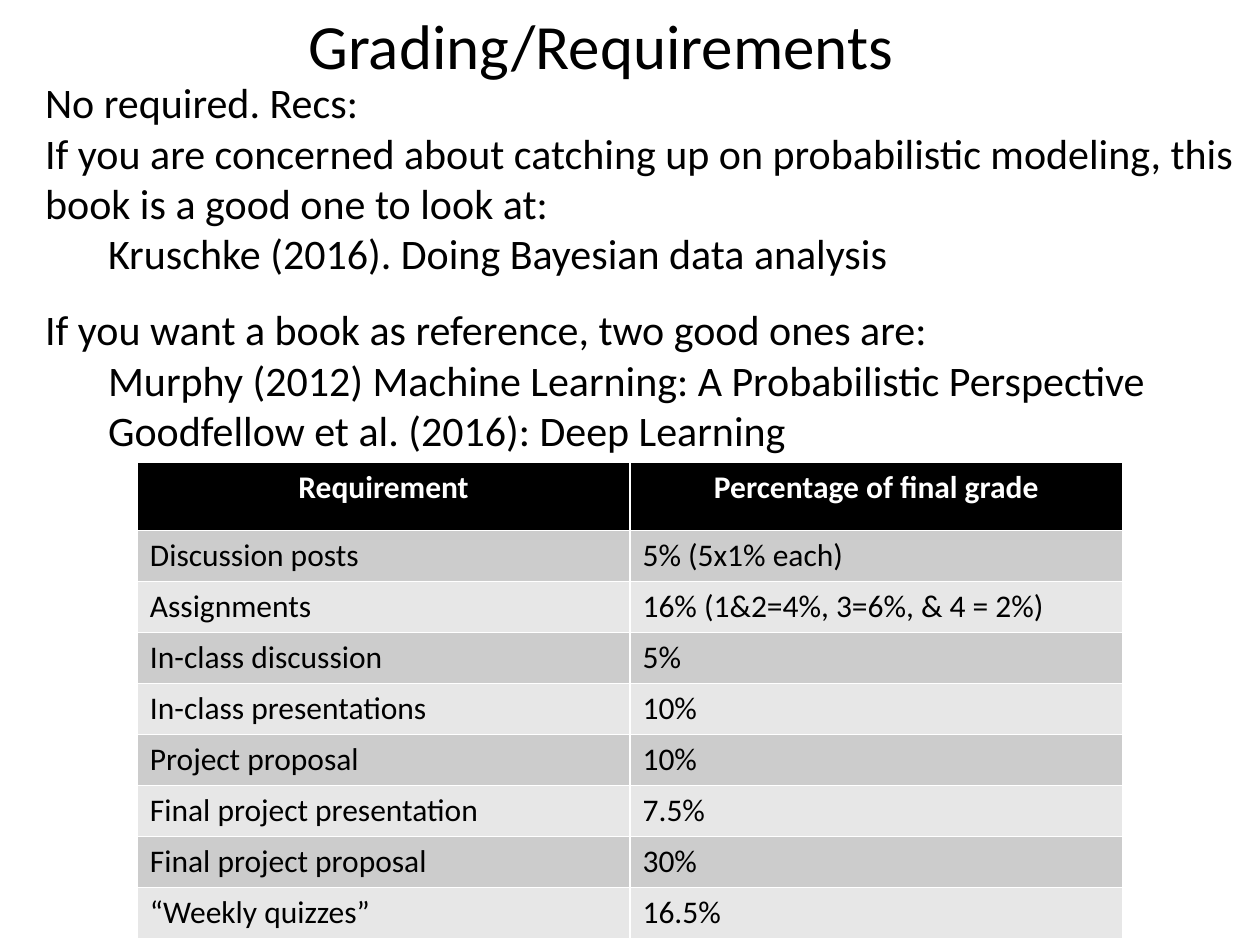
"""Build the grading and requirements slide."""
from pptx import Presentation, util as u
from pptx.dml.color import RGBColor
from pptx.enum import text

THEME = {
    "font": "Calibri",
    "ink": RGBColor(0, 0, 0),
    "paper": RGBColor(255, 255, 255),
    "bands": [RGBColor(0xCC, 0xCC, 0xCC), RGBColor(0xE7, 0xE7, 0xE7)],
    "title": u.Pt(36),
    "reading": u.Pt(24),
    "grade": u.Pt(18),
}

deck = Presentation()
deck.slide_width, deck.slide_height = u.Inches(10), u.Inches(7.5)
slide = deck.slides.add_slide(deck.slide_layouts[6])
column, row = deck.slide_width / 100, deck.slide_height / 75


def area(left, top, width, height):
    return [u.Emu(round(n * unit)) for n, unit in zip((left, top, width, height), (column, row) * 2)]


def write(paragraph, words, size, color="ink", bold=False):
    run = paragraph.add_run()
    run.text = words
    look = {"name": THEME["font"], "size": THEME[size], "bold": bold}
    for key, value in look.items():
        setattr(run.font, key, value)
    run.font.color.rgb = THEME[color]


heading = slide.shapes.add_textbox(*area(2.6, 0, 90.2, 7.1)).text_frame
heading.word_wrap = True
heading.paragraphs[0].alignment = text.PP_ALIGN.CENTER
write(heading.paragraphs[0], "Grading/Requirements", "title")

READINGS = [
    ("No required. Recs:", 0, 0),
    ("If you are concerned about catching up on probabilistic modeling, "
     "this book is a good one to look at:", 0, 0),
    ("Kruschke (2016). Doing Bayesian data analysis", 0.5, 0),
    ("If you want a book as reference, two good ones are:", 0, 14.6),
    ("Murphy (2012) Machine Learning: A Probabilistic Perspective", 0.5, 0),
    ("Goodfellow et al. (2016): Deep Learning", 0.5, 0),
]
readings = slide.shapes.add_textbox(*area(2.6, 5.6, 97.4, 31.3)).text_frame
readings.word_wrap = True
for number, (words, indent, gap) in enumerate(READINGS):
    reading = readings.add_paragraph() if number else readings.paragraphs[0]
    if indent:
        reading._p.get_or_add_pPr().set("marL", str(u.Inches(indent)))
    if gap:
        reading.space_before = u.Pt(gap)
    write(reading, words, "reading")

GRADES = [
    ("Requirement", "Percentage of final grade"),
    ("Discussion posts", "5% (5x1% each)"),
    ("Assignments", "16% (1&2=4%, 3=6%, & 4 = 2%)"),
    ("In-class discussion", "5%"),
    ("In-class presentations", "10%"),
    ("Project proposal", "10%"),
    ("Final project presentation", "7.5%"),
    ("Final project proposal", "30%"),
    ("“Weekly quizzes”", "16.5%"),
]
HEADER_ROWS, GRADE_ROWS = 5.4, 4.05
grades = slide.shapes.add_table(len(GRADES), 2, *area(10.9, 36.7, 78.2, 37.8)).table
for line, entries in enumerate(GRADES):
    header = line == 0
    grades.rows[line].height = u.Emu(round(row * (HEADER_ROWS if header else GRADE_ROWS)))
    for side, words in enumerate(entries):
        entry = grades.cell(line, side)
        entry.fill.solid()
        entry.fill.fore_color.rgb = THEME["ink"] if header else THEME["bands"][(line - 1) % 2]
        paragraph = entry.text_frame.paragraphs[0]
        if header:
            paragraph.alignment = text.PP_ALIGN.CENTER
        write(paragraph, words, "grade", "paper" if header else "ink", header)

deck.save("out.pptx")
